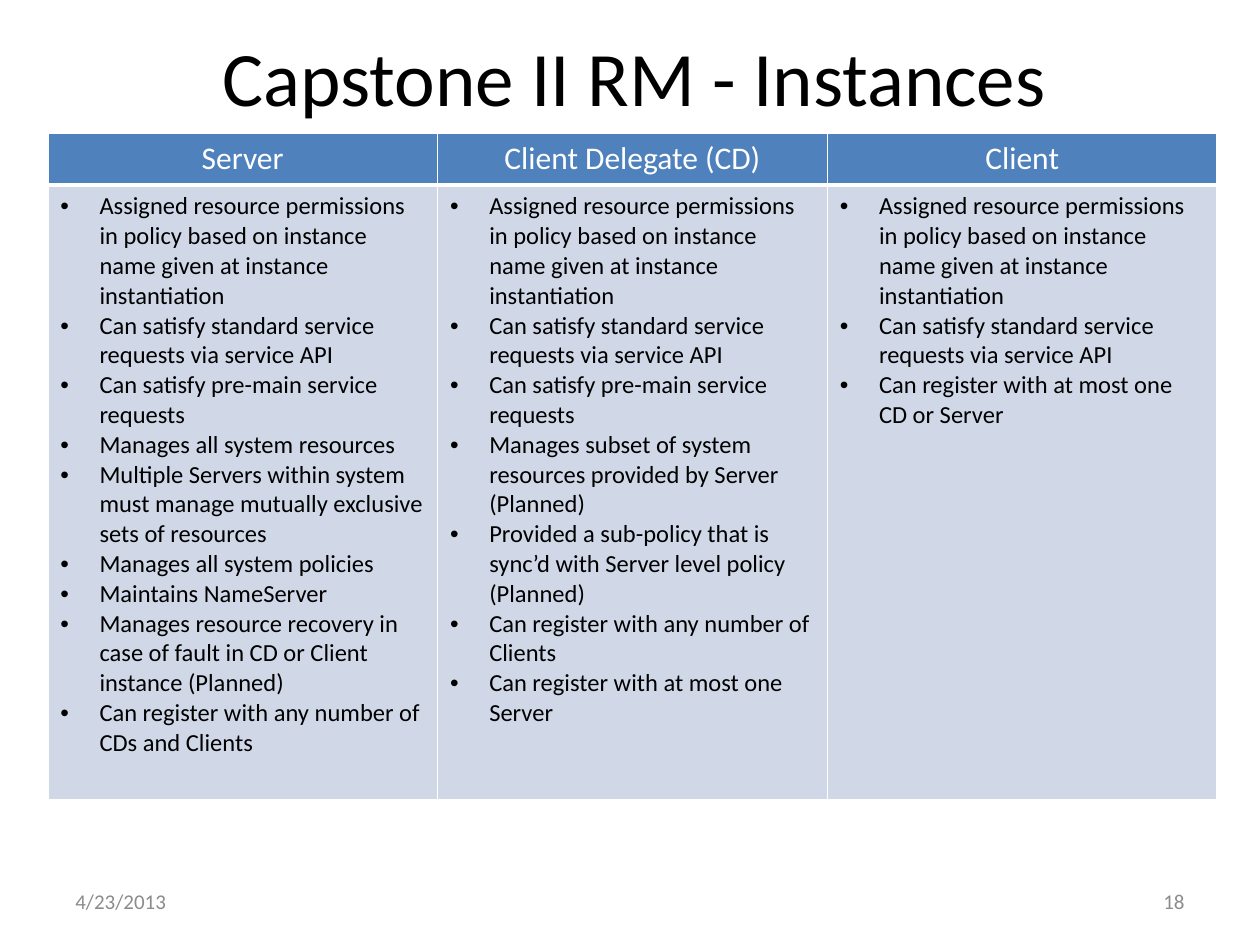
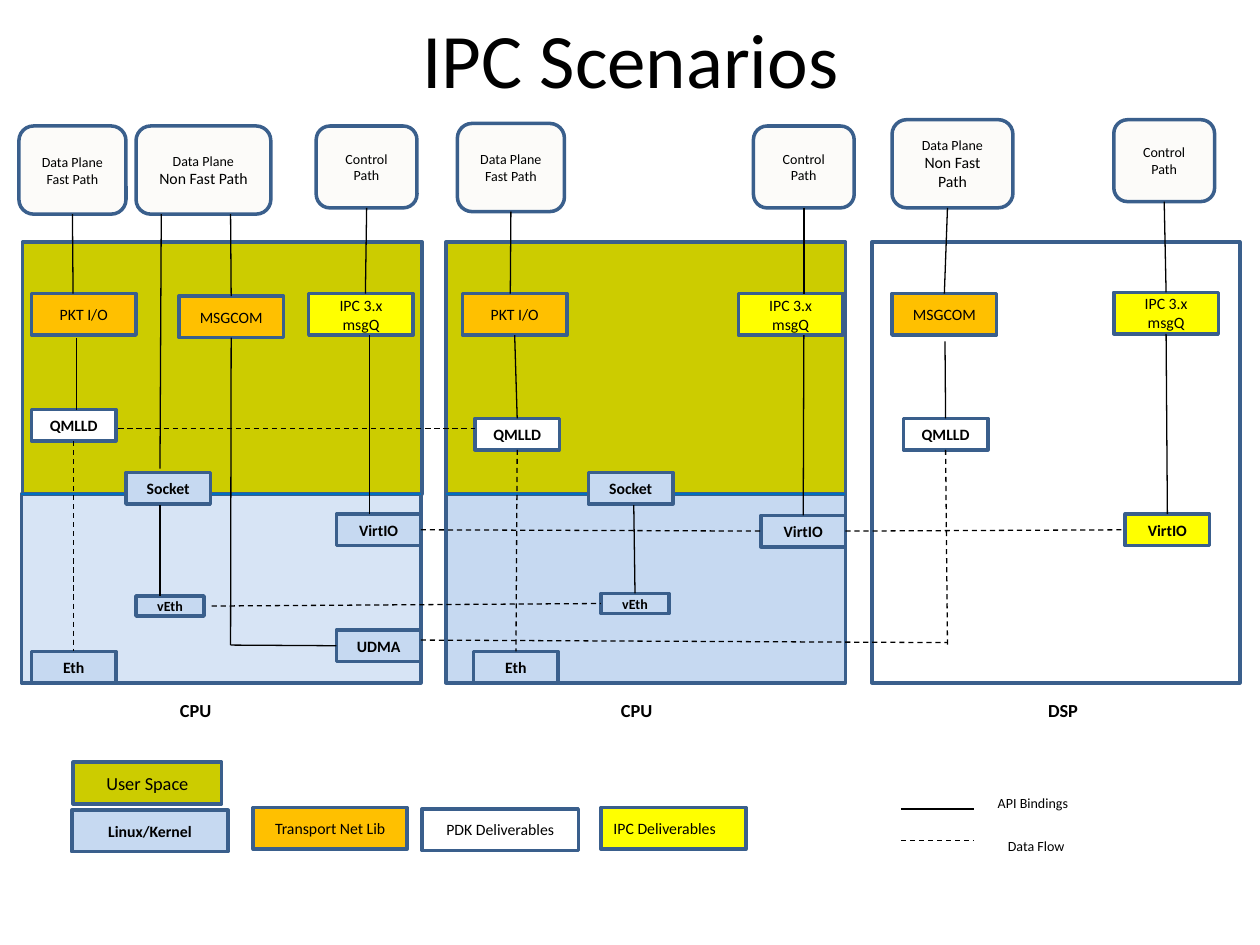
from lxml import etree
from pptx import Presentation
from pptx.dml.color import RGBColor
from pptx.enum.dml import MSO_LINE
from pptx.enum.shapes import MSO_CONNECTOR, MSO_SHAPE
from pptx.enum.text import MSO_ANCHOR, PP_ALIGN
from pptx.oxml.ns import qn
from pptx.util import Inches, Pt

LEFT, CENTER, RIGHT = PP_ALIGN.LEFT, PP_ALIGN.CENTER, PP_ALIGN.RIGHT
MIDDLE, TOP_ANCHOR = MSO_ANCHOR.MIDDLE, MSO_ANCHOR.TOP
RECT, ROUND = MSO_SHAPE.RECTANGLE, MSO_SHAPE.ROUNDED_RECTANGLE
STRAIGHT, DASH = MSO_CONNECTOR.STRAIGHT, MSO_LINE.DASH
TOP_SIDE, LEFT_SIDE, BOTTOM_SIDE, RIGHT_SIDE = range(4)

FONT = "Calibri"
BLACK, WHITE, GREY = "000000", "FFFFFF", "8C8C8C"
HEADER_BLUE, BODY_BLUE = "4F81BD", "D0D8E8"
OUTLINE, DIVIDER = "3A5F8C", "0070C0"
OLIVE, KERNEL, ORANGE, YELLOW, PALE = "CCCC00", "C6D9F1", "FFC000", "FFFF00", "FCFBF9"

# ---- Content: instances table ----
COMMON = [
    "Assigned resource permissions in policy based on instance name given at instance instantiation",
    "Can satisfy standard service requests via service API",
]
PRE_MAIN = "Can satisfy pre-main service requests"
INSTANCES = {
    "Server": COMMON + [
        PRE_MAIN,
        "Manages all system resources",
        "Multiple Servers within system must manage mutually exclusive sets of resources",
        "Manages all system policies",
        "Maintains NameServer",
        "Manages resource recovery in case of fault in CD or Client instance (Planned)",
        "Can register with any number of CDs and Clients",
    ],
    "Client Delegate (CD)": COMMON + [
        PRE_MAIN,
        "Manages subset of system resources provided by Server (Planned)",
        "Provided a sub-policy that is sync’d with Server level policy (Planned)",
        "Can register with any number of Clients",
        "Can register with at most one Server",
    ],
    "Client": COMMON + ["Can register with at most one CD or Server"],
}
# text, left, alignment
FOOTERS = [("4/23/2013", 0.5, LEFT), ("18", 7.17, RIGHT)]

# ---- Content: scenario diagram ----
# left, top, width, height, fill, opacity in percent
REGIONS = [
    (0.18, 1.92, 3.17, 2, OLIVE, 100),
    (3.54, 1.92, 3.17, 2, OLIVE, 100),
    (3.54, 3.92, 3.17, 1.5, KERNEL, 100),
    (0.17, 3.92, 3.17, 1.5, KERNEL, 69),
    (6.92, 1.92, 2.92, 3.5, None, 100),
]
DIVIDER_LEFTS, DIVIDER_TOP, DIVIDER_WIDTH = (0.17, 3.54), 3.92, 3.17

FAST = [("Data Plane", 8), ("Fast Path", 8)]
NON_FAST = [("Data Plane", 8), ("Non Fast Path", 9)]
CONTROL = [("Control", 8), ("Path", 8)]
# key: lines, left, top, width, height
PLANES = {
    "fast 1": (FAST, 0.15, 1, 0.85, 0.7),
    "non-fast 1": (NON_FAST, 1.08, 1, 1.07, 0.7),
    "control 1": (CONTROL, 2.51, 1, 0.8, 0.65),
    "fast 2": (FAST, 3.63, 0.98, 0.85, 0.7),
    "control 2": (CONTROL, 5.98, 1, 0.8, 0.65),
    "non-fast 3": (NON_FAST, 7.08, 0.95, 0.96, 0.7),
    "control 3": (CONTROL, 8.84, 0.95, 0.8, 0.65),
}
# kind: width, height, text size, bold
KINDS = {
    "library": (0.83, 0.33, 9, False),
    "driver": (0.67, 0.25, 9, True),
    "virtual": (0.54, 0.16, 8, True),
}
# label, kind, fill, then (core, left, top) for each core that has it
MODULES = [
    ("PKT I/O", "library", ORANGE, [(1, 0.25, 2.33), (2, 3.67, 2.33)]),
    ("MSGCOM", "library", ORANGE, [(1, 1.42, 2.35), (3, 7.08, 2.33)]),
    ("IPC 3.x\nmsgQ", "library", YELLOW, [(1, 2.45, 2.33), (2, 5.86, 2.33), (3, 8.84, 2.32)]),
    ("QMLLD", "driver", WHITE, [(1, 0.25, 3.25), (2, 3.77, 3.32), (3, 7.17, 3.32)]),
    ("Socket", "driver", KERNEL, [(1, 1, 3.75), (2, 4.67, 3.75)]),
    ("VirtIO", "driver", KERNEL, [(1, 2.67, 4.08), (2, 6.04, 4.09)]),
    ("VirtIO", "driver", YELLOW, [(3, 8.93, 4.08)]),
    ("vEth", "virtual", KERNEL, [(1, 1.08, 4.73), (2, 4.77, 4.71)]),
    ("UDMA", "driver", KERNEL, [(1, 2.67, 5)]),
    ("Eth", "driver", KERNEL, [(1, 0.25, 5.17), (2, 3.76, 5.17)]),
]
# Each end is a point or (box key, side)
BINDINGS = [
    (("fast 1", BOTTOM_SIDE), (0.58, 2.33)),
    ((1.28, 1.7), (1.27, 3.72)),
    ((1.83, 1.7), ("MSGCOM 1", TOP_SIDE)),
    (("control 1", BOTTOM_SIDE), (2.9, 2.33)),
    (("fast 2", BOTTOM_SIDE), (4.05, 2.33)),
    (("control 2", BOTTOM_SIDE), (6.38, 2.33)),
    ((7.52, 1.65), ("MSGCOM 3", TOP_SIDE)),
    (("control 3", BOTTOM_SIDE), ("IPC 3.x\nmsgQ 3", TOP_SIDE)),
    ((0.61, 2.68), (0.61, 3.25)),
    (("PKT I/O 2", BOTTOM_SIDE), ("QMLLD 2", TOP_SIDE)),
    ((7.5, 2.71), ("QMLLD 3", TOP_SIDE)),
    ((2.93, 2.66), (2.93, 4.08)),
    ((6.38, 2.66), ("VirtIO 2", TOP_SIDE)),
    (("IPC 3.x\nmsgQ 3", BOTTOM_SIDE), ("VirtIO 3", TOP_SIDE)),
    (("MSGCOM 1", BOTTOM_SIDE), (1.83, 5.12)),
    ((1.83, 5.12), ("UDMA 1", LEFT_SIDE)),
    ((1.27, 4.01), (1.27, 4.73)),
    ((5.03, 4.01), ("vEth 2", TOP_SIDE)),
]
FLOWS = [
    ((0.94, 3.4), (3.77, 3.4)),
    (("QMLLD 1", BOTTOM_SIDE), ("Eth 1", TOP_SIDE)),
    (("QMLLD 2", BOTTOM_SIDE), ("Eth 2", TOP_SIDE)),
    (("QMLLD 3", BOTTOM_SIDE), (7.52, 5.12)),
    (("VirtIO 1", RIGHT_SIDE), ("VirtIO 2", LEFT_SIDE)),
    (("VirtIO 2", RIGHT_SIDE), ("VirtIO 3", LEFT_SIDE)),
    ((1.68, 4.81), ("vEth 2", LEFT_SIDE)),
    ((3.34, 5.08), (7.52, 5.1)),
]
# text, left, top, width, height, size, bold
CAPTIONS = [
    ("CPU", 1.33, 5.5, 0.48, 0.29, 10.5, True),
    ("CPU", 4.83, 5.5, 0.48, 0.29, 10.5, True),
    ("DSP", 8.22, 5.5, 0.51, 0.28, 10.5, True),
    ("API Bindings", 7.82, 6.26, 0.85, 0.24, 8, False),
    ("Data Flow", 7.9, 6.6, 0.71, 0.24, 8, False),
]
# text, left, top, width, fill, size, bold, alignment
LEGEND = [
    ("User Space", 0.58, 6.05, 1.18, OLIVE, 10.5, False, CENTER),
    ("Linux/Kernel", 0.57, 6.43, 1.24, KERNEL, 9, True, CENTER),
    ("Transport Net Lib", 2.01, 6.41, 1.22, ORANGE, 9, False, CENTER),
    ("PDK Deliverables", 3.35, 6.42, 1.24, WHITE, 9, False, CENTER),
    ("IPC Deliverables", 4.77, 6.41, 1.15, YELLOW, 9, False, LEFT),
]
LEGEND_HEIGHT = 0.33
KEY_LEFT, KEY_RIGHT, BINDING_KEY_TOP, FLOW_KEY_TOP = 7.15, 7.73, 6.42, 6.67


# ---- Shared helpers ----
def color(hex_text):
    return RGBColor.from_string(hex_text)


def write(frame, lines, align=LEFT, hue=BLACK, bold=False, anchor=MIDDLE, bullet=False):
    """Fill a text frame with (text, size) lines, one paragraph each."""
    frame.vertical_anchor = anchor
    for index, (text, size) in enumerate(lines):
        para = frame.add_paragraph() if index else frame.paragraphs[0]
        para.alignment = align
        if bullet:
            props = para._p.get_or_add_pPr()
            props.set("marL", str(Inches(0.31)))
            props.set("indent", str(Inches(-0.31)))
            etree.SubElement(props, qn("a:buFont")).set("typeface", "Arial")
            etree.SubElement(props, qn("a:buChar")).set("char", "•")
        span = para.add_run()
        span.text = text
        span.font.name, span.font.size, span.font.bold = FONT, Pt(size), bold
        span.font.color.rgb = color(hue)


def add_page(deck, title, *place):
    page = deck.slides.add_slide(deck.slide_layouts[5])
    head = page.shapes.title
    head.left, head.top, head.width, head.height = map(Inches, place)
    head.text_frame.word_wrap = True
    write(head.text_frame, [(title, 44)], CENTER)
    return page


def add_label(page, text, place, size, align=LEFT, hue=BLACK, bold=False, wrap=False, anchor=TOP_ANCHOR):
    label = page.shapes.add_textbox(*map(Inches, place))
    label.text_frame.word_wrap = wrap
    write(label.text_frame, [(text, size)], align, hue, bold, anchor)


def add_box(page, place, fill, lines=(), align=CENTER, bold=False, shape=RECT):
    box = page.shapes.add_shape(shape, *map(Inches, place))
    box.shadow.inherit = False
    if fill:
        box.fill.solid()
        box.fill.fore_color.rgb = color(fill)
    else:
        box.fill.background()
    box.line.color.rgb = color(OUTLINE)
    box.line.width = Pt(2)
    box.text_frame.word_wrap = True
    write(box.text_frame, lines, align, bold=bold)
    return box


def add_line(page, start, end, boxes=None, dashed=False, hue=BLACK, width=0.75):
    points = [(0, 0) if isinstance(tip[0], str) else tip for tip in (start, end)]
    line = page.shapes.add_connector(STRAIGHT, *(Inches(n) for point in points for n in point))
    for tip, join in ((start, line.begin_connect), (end, line.end_connect)):
        if isinstance(tip[0], str):
            join(boxes[tip[0]], tip[1])
    line.line.color.rgb = color(hue)
    line.line.width = Pt(width)
    if dashed:
        line.line.dash_style = DASH
    etree.SubElement(line._element.spPr, qn("a:effectLst"))


def set_borders(cell, bottom):
    props = cell._tc.get_or_add_tcPr()
    for side, width in (("L", 1), ("R", 1), ("T", 1), ("B", bottom)):
        edge = etree.SubElement(props, qn("a:ln" + side), w=str(Pt(width)))
        fill = etree.SubElement(edge, qn("a:solidFill"))
        etree.SubElement(fill, qn("a:srgbClr"), val=WHITE)


def fill_cell(cell, fill, lines, border, **style):
    set_borders(cell, border)
    cell.fill.solid()
    cell.fill.fore_color.rgb = color(fill)
    write(cell.text_frame, lines, anchor=None, **style)


# ---- Slides ----
def build_instances(deck):
    page = add_page(deck, "Capstone II RM - Instances", 0.41, 0.18, 9.25, 0.84)
    for text, left, align in FOOTERS:
        add_label(page, text, (left, 6.95, 2.33, 0.4), 12, align, GREY, wrap=True, anchor=MIDDLE)

    place = map(Inches, (0.38, 1.06, 9.28, 5.29))
    table = page.shapes.add_table(2, len(INSTANCES), *place).table
    table.rows[0].height, table.rows[1].height = Inches(0.41), Inches(4.88)
    for column, (name, duties) in enumerate(INSTANCES.items()):
        fill_cell(table.cell(0, column), HEADER_BLUE, [(name, 18)], 3, align=CENTER, hue=WHITE)
        fill_cell(table.cell(1, column), BODY_BLUE, [(duty, 14) for duty in duties], 1, bullet=True)


def build_scenarios(deck):
    page = add_page(deck, "IPC Scenarios", 0.38, 0, 9.25, 0.92)

    # Core regions and the user/kernel divider
    for *place, fill, opacity in REGIONS:
        region = add_box(page, place, fill)
        if opacity < 100:
            tint = region._element.spPr.find(qn("a:solidFill"))[0]
            etree.SubElement(tint, qn("a:alpha"), val=str(opacity * 1000))
    for left in DIVIDER_LEFTS:
        add_line(page, (left, DIVIDER_TOP), (left + DIVIDER_WIDTH, DIVIDER_TOP), hue=DIVIDER, width=1.5)

    # Planes and modules
    boxes = {}
    for key, (lines, *place) in PLANES.items():
        boxes[key] = add_box(page, place, PALE, lines, shape=ROUND)
    for label, kind, fill, spots in MODULES:
        width, height, size, bold = KINDS[kind]
        lines = [(text, size) for text in label.split("\n")]
        for core, left, top in spots:
            boxes[f"{label} {core}"] = add_box(page, (left, top, width, height), fill, lines, bold=bold)

    # Links
    for links, dashed in ((BINDINGS, False), (FLOWS, True)):
        for start, end in links:
            add_line(page, start, end, boxes, dashed)

    # Captions and legend
    for text, *place, size, bold in CAPTIONS:
        add_label(page, text, place, size, bold=bold)
    for text, left, top, width, fill, size, bold, align in LEGEND:
        add_box(page, (left, top, width, LEGEND_HEIGHT), fill, [(text, size)], align, bold)
    for top, dashed in ((BINDING_KEY_TOP, False), (FLOW_KEY_TOP, True)):
        add_line(page, (KEY_LEFT, top), (KEY_RIGHT, top), dashed=dashed)


def main():
    deck = Presentation()
    deck.slide_width, deck.slide_height = Inches(10), Inches(7.5)
    build_instances(deck)
    build_scenarios(deck)
    deck.save("out.pptx")


if __name__ == "__main__":
    main()
